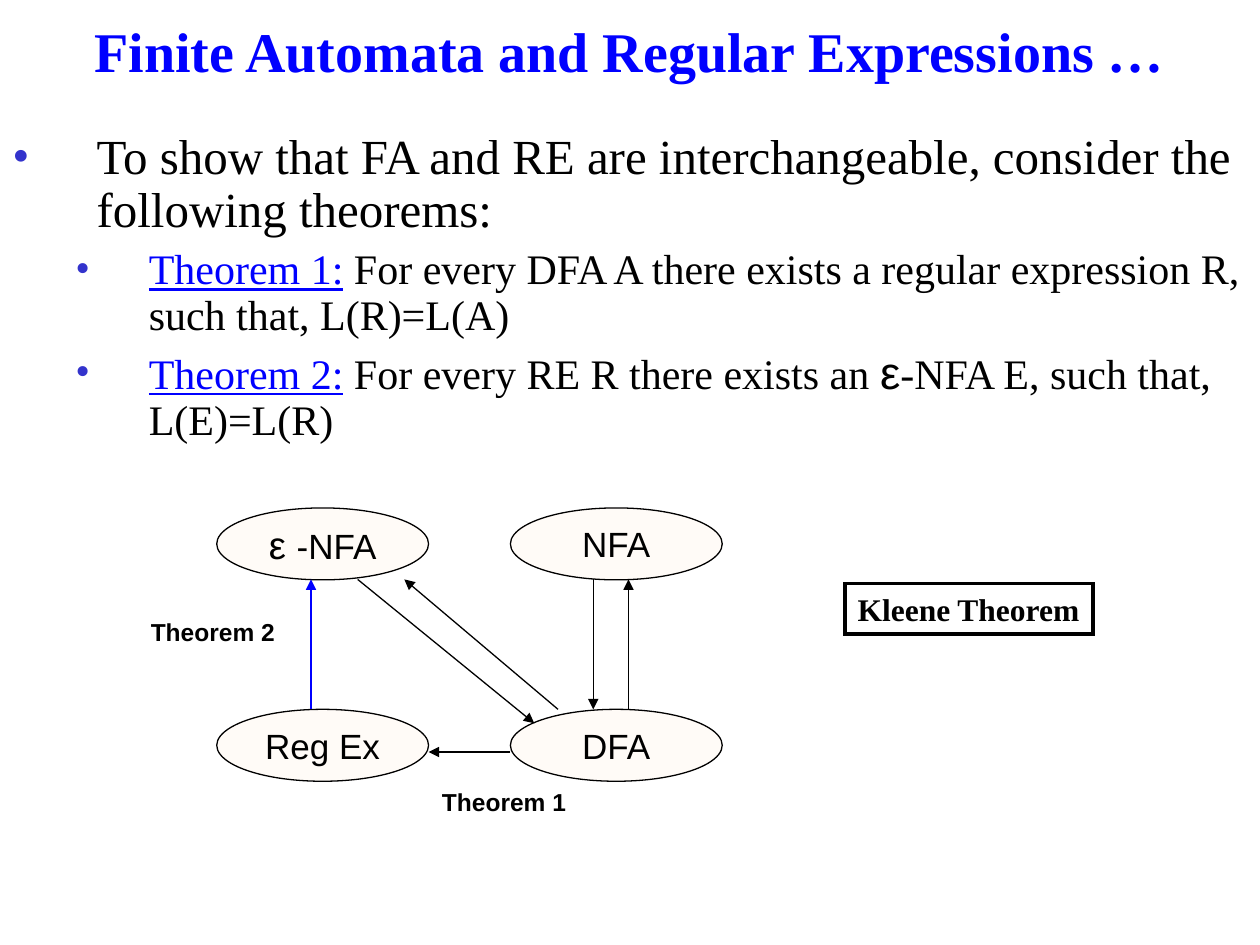
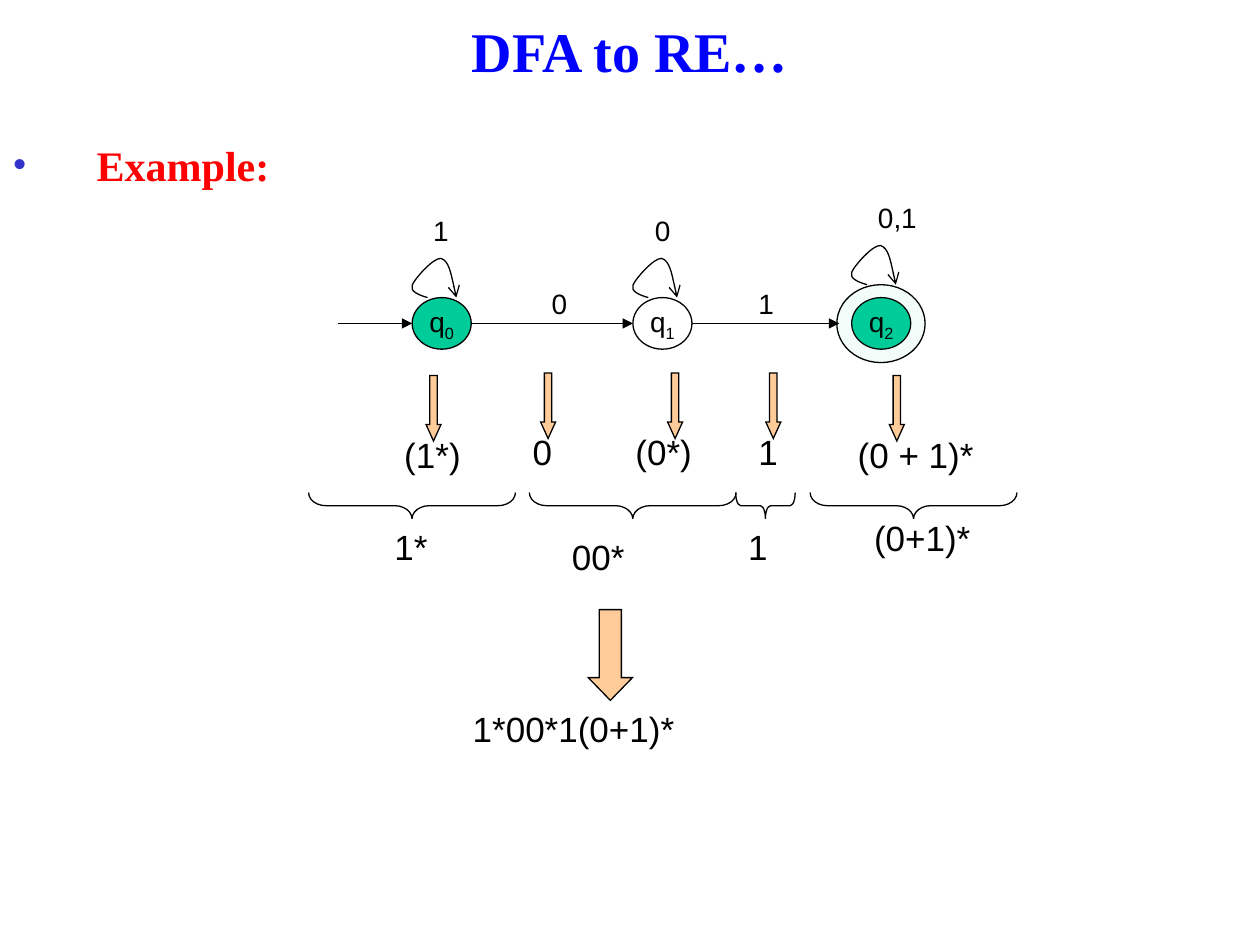
from lxml.etree import SubElement
from pptx import Presentation
from pptx.dml.color import RGBColor
from pptx.enum.shapes import MSO_CONNECTOR, MSO_SHAPE
from pptx.enum.text import MSO_ANCHOR, PP_ALIGN
from pptx.oxml.ns import qn
from pptx.util import Cm, Pt

COLORS = {
    "black": "000000",
    "white": "FFFFFF",
    "blue": "0000FF",
    "red": "FF0000",
    "bullet": "3333CC",
    "peach": "FFCC99",
    "green": "00CC99",
}
SERIF, SANS = "Times New Roman", "Arial"


def write(para, spans, size, font=SANS, color="black", bold=False, align=PP_ALIGN.LEFT):
    """Fill a paragraph; each span is (text, changes from the paragraph font)."""
    para.alignment = align
    para.font.size, para.font.name, para.font.bold = Pt(size), font, bold
    para.font.color.rgb = RGBColor.from_string(COLORS[color])
    for text, changes in spans:
        span = para.add_run()
        span.text = text
        if "color" in changes:
            span.font.color.rgb = RGBColor.from_string(COLORS[changes["color"]])
            span.font.underline = True
        if "size" in changes:
            span.font.size, span.font.name = Pt(changes["size"]), SANS
        if "baseline" in changes:
            span.font._element.set("baseline", changes["baseline"])


def paint(shape, fill=None, opacity=100, width=0.75):
    """Black outline, no shadow, and an optional (translucent) fill."""
    shape.shadow.inherit = False
    shape.line.color.rgb = RGBColor.from_string(COLORS["black"])
    shape.line.width = Pt(width)
    SubElement(shape._element.spPr.find(qn("a:ln")), qn("a:miter")).set("lim", "800000")
    if fill is None:
        shape.fill.background()
        return
    shape.fill.solid()
    shape.fill.fore_color.rgb = RGBColor.from_string(COLORS[fill])
    if opacity < 100:
        color = shape._element.spPr.find(qn("a:solidFill")).find(qn("a:srgbClr"))
        SubElement(color, qn("a:alpha")).set("val", str(opacity * 1000))


deck = Presentation()
deck.slide_width, deck.slide_height = Cm(25.4), Cm(19.05)
theorem_page, example_page = [deck.slides.add_slide(deck.slide_layouts[6]) for _ in range(2)]

# Titles
for page, title in (
    (theorem_page, "Finite Automata and Regular Expressions …"),
    (example_page, "DFA to RE…"),
):
    box = page.shapes.add_textbox(0, 0, Cm(25.4), Cm(2.2))
    box.text_frame.word_wrap = True
    box.text_frame.vertical_anchor = MSO_ANCHOR.MIDDLE
    para = box.text_frame.paragraphs[0]
    para.line_spacing = 0.9
    write(para, [(title, {})], 32, SERIF, "blue", True, PP_ALIGN.CENTER)

# Bulleted text: level, spans, size, colour, bold
theorem_lines = [
    (0, [("To show that FA and RE are interchangeable, consider the following theorems:", {})],
     28, "black", False),
    (1, [("Theorem 1:", {"color": "blue"}),
         (" For every DFA A there exists a regular expression R, such that, L(R)=L(A)", {})],
     24, "black", False),
    (1, [("Theorem 2:", {"color": "blue"}),
         (" For every RE R there exists an ", {}),
         ("ε", {"size": 26}),
         ("-NFA E, such that, L(E)=L(R)", {})],
     24, "black", False),
]
example_lines = [(0, [("Example:", {})], 24, "red", True)]
indents = [(1.7, -1.7), (2.75, -1.48)]

for page, top, height, spacing, lines in (
    (theorem_page, 2.54, 7.01, 0.9, theorem_lines),
    (example_page, 2.69, 1.47, 1.0, example_lines),
):
    frame = page.shapes.add_textbox(0, Cm(top), Cm(25.4), Cm(height)).text_frame
    frame.word_wrap = True
    for number, (level, spans, size, color, bold) in enumerate(lines):
        para = frame.add_paragraph() if number else frame.paragraphs[0]
        para.level = level
        para.line_spacing = spacing
        para.space_before = Pt(6 if number else 0)
        margin, hanging = indents[level]
        properties = para._p.get_or_add_pPr()
        properties.set("marL", str(Cm(margin)))
        properties.set("indent", str(Cm(hanging)))
        bullet_color = SubElement(properties, qn("a:buClr"))
        SubElement(bullet_color, qn("a:srgbClr")).set("val", COLORS["bullet"])
        SubElement(properties, qn("a:buFont")).set("typeface", SERIF)
        SubElement(properties, qn("a:buChar")).set("char", "•")
        write(para, spans, size, SERIF, color, bold)

# Ellipses: the four notations, then the three automaton states
left_column, right_column, upper_row, lower_row = 4.37, 10.29, 10.24, 14.3
state_top = 6.0
states = [(8.31, "0", "green", state_top), (12.76, "1", None, state_top),
          (17.17, "2", "green", 5.74)]
ellipses = [
    (theorem_page, left_column, upper_row, [("ε ", {"size": 22}), ("-NFA", {})]),
    (theorem_page, right_column, upper_row, [("NFA", {})]),
    (theorem_page, right_column, lower_row, [("DFA", {})]),
    (theorem_page, left_column, lower_row, [("Reg Ex", {})]),
]
ellipses = [(*node, 4.27, 1.45, "peach", 8, 20) for node in ellipses]
ellipses += [
    (example_page, left, state_top, [("q", {}), (index, {"baseline": "-25000"})],
     1.19, 1.04, fill, 100, 16)
    for left, index, fill, _ in states
]
ellipses.append((example_page, 16.87, 5.74, [], 1.78, 1.57, "green", 5, 16))

for page, left, top, spans, width, height, fill, opacity, size in ellipses:
    ellipse = page.shapes.add_shape(MSO_SHAPE.OVAL, Cm(left), Cm(top), Cm(width), Cm(height))
    paint(ellipse, fill, opacity)
    if spans:
        ellipse.text_frame.word_wrap = False
        ellipse.text_frame.vertical_anchor = MSO_ANCHOR.MIDDLE
        write(ellipse.text_frame.paragraphs[0], spans, size, align=PP_ALIGN.CENTER)

# Framed theorem name
kleene = theorem_page.shapes.add_shape(MSO_SHAPE.RECTANGLE, Cm(17.04), Cm(11.76), Cm(5), Cm(1.02))
paint(kleene, "white", width=2)
kleene.text_frame.word_wrap = False
kleene.text_frame.vertical_anchor = MSO_ANCHOR.TOP
write(kleene.text_frame.paragraphs[0], [("Kleene Theorem", {})], 18, SERIF, bold=True)

# Straight arrows: start, end, colour, width
arrows = [
    (theorem_page, 11.96, 11.68, 11.96, lower_row, "black", 0.75),
    (theorem_page, 12.67, lower_row, 12.67, 11.68, "black", 0.75),
    (theorem_page, 10.29, 15.16, 8.64, 15.16, "black", 1.5),
    (theorem_page, 6.27, lower_row, 6.27, 11.68, "blue", 1.5),
    (theorem_page, 7.21, 11.68, 10.77, 14.58, "black", 0.75),
    (theorem_page, 11.25, lower_row, 8.15, 11.68, "black", 0.75),
]
arrows += [
    (example_page, start, 6.52, end, 6.52, "black", 0.75)
    for start, end in ((6.81, 8.31), (9.5, 12.76), (13.95, 16.92))
]
for page, x1, y1, x2, y2, color, width in arrows:
    arrow = page.shapes.add_connector(MSO_CONNECTOR.STRAIGHT, Cm(x1), Cm(y1), Cm(x2), Cm(y2))
    arrow.line.color.rgb = RGBColor.from_string(COLORS[color])
    arrow.line.width = Pt(width)
    properties = arrow._element.spPr
    SubElement(properties.find(qn("a:ln")), qn("a:tailEnd")).set("type", "triangle")
    SubElement(properties, qn("a:effectLst"))

# Self loops: three Bezier curves, measured from the state's left and the loop's foot
loop_points = [(0.13, -0.05), (-0.05, -0.13), (0, -0.25),
               (0.05, -0.38), (0.43, -0.81), (0.58, -0.79),
               (0.74, -0.74), (0.81, -0.36), (0.89, 0)]
for left, _, _, foot in states:
    builder = example_page.shapes.build_freeform(Cm(left + 0.31), Cm(foot))
    builder.add_line_segments([(Cm(left + x), Cm(foot + y)) for x, y in loop_points], close=False)
    loop = builder.convert_to_shape()
    paint(loop)
    segments = list(loop._element.iter(qn("a:lnTo")))
    outline = segments[0].getparent()
    for first in range(0, len(segments), 3):
        curve = SubElement(outline, qn("a:cubicBezTo"))
        for segment in segments[first:first + 3]:
            curve.append(segment[0])
            outline.remove(segment)
    SubElement(loop._element.spPr.find(qn("a:ln")), qn("a:tailEnd")).set("type", "arrow")

# Block arrows: left, top, width, height, head length
block_arrows = [(left, top, 0.3, 1.32, 1.1) for left, top in (
    (8.59, 7.57), (10.9, 7.52), (13.46, 7.52), (15.44, 7.52), (17.93, 7.57))]
block_arrows.append((11.86, 12.29, 0.89, 1.83, 0.515))
for left, top, width, height, head in block_arrows:
    block = example_page.shapes.add_shape(
        MSO_SHAPE.DOWN_ARROW, Cm(left), Cm(top), Cm(width), Cm(height))
    block.adjustments[0], block.adjustments[1] = 0.5, head
    paint(block, "peach")

# Braces lying under the partial expressions
brace_top, depth = 9.93, 0.53
for left, length in ((6.22, 4.17), (10.67, 4.17), (14.83, 1.2), (16.33, 4.17)):
    shift = (length - depth) / 2
    brace = example_page.shapes.add_shape(
        MSO_SHAPE.RIGHT_BRACE, Cm(left + shift), Cm(brace_top - shift), Cm(depth), Cm(length))
    brace.rotation = 90
    brace.adjustments[0] = length / depth / 12
    paint(brace)

# Labels: text, left, top, width, height, size, bold
labels = [
    (theorem_page, "Theorem 2", 2.79, 12.32, 3.2, 0.86, 14, True),
    (theorem_page, "Theorem 1", 8.66, 15.75, 3.2, 0.86, 14, True),
]
labels += [(example_page, *symbol, 0.94, 16, False) for symbol in (
    ("0", 10.87, 5.66, 0.9),
    ("1", 15.04, 5.66, 0.9),
    ("1", 8.48, 4.18, 0.9),
    ("0", 12.95, 4.18, 0.9),
    ("0,1", 17.45, 3.91, 1.4),
)]
labels += [(example_page, *expression, 1.12, 20, False) for expression in (
    ("(1*)", 7.9, 8.61, 1.9),
    ("0", 10.49, 8.56, 1),
    ("(0*)", 12.56, 8.56, 1.9),
    ("1", 15.04, 8.56, 1),
    ("(0 + 1)*", 17.04, 8.61, 3.2),
    ("1*", 7.7, 10.46, 1.4),
    ("00*", 11.28, 10.67, 2),
    ("1", 14.83, 10.46, 1),
    ("(0+1)*", 17.37, 10.29, 2.8),
    ("1*00*1(0+1)*", 9.28, 14.13, 5),
)]
for page, text, left, top, width, height, size, bold in labels:
    box = page.shapes.add_textbox(Cm(left), Cm(top), Cm(width), Cm(height))
    box.text_frame.word_wrap = True
    box.text_frame.margin_right = 0
    write(box.text_frame.paragraphs[0], [(text, {})], size, bold=bold)

deck.save("out.pptx")
